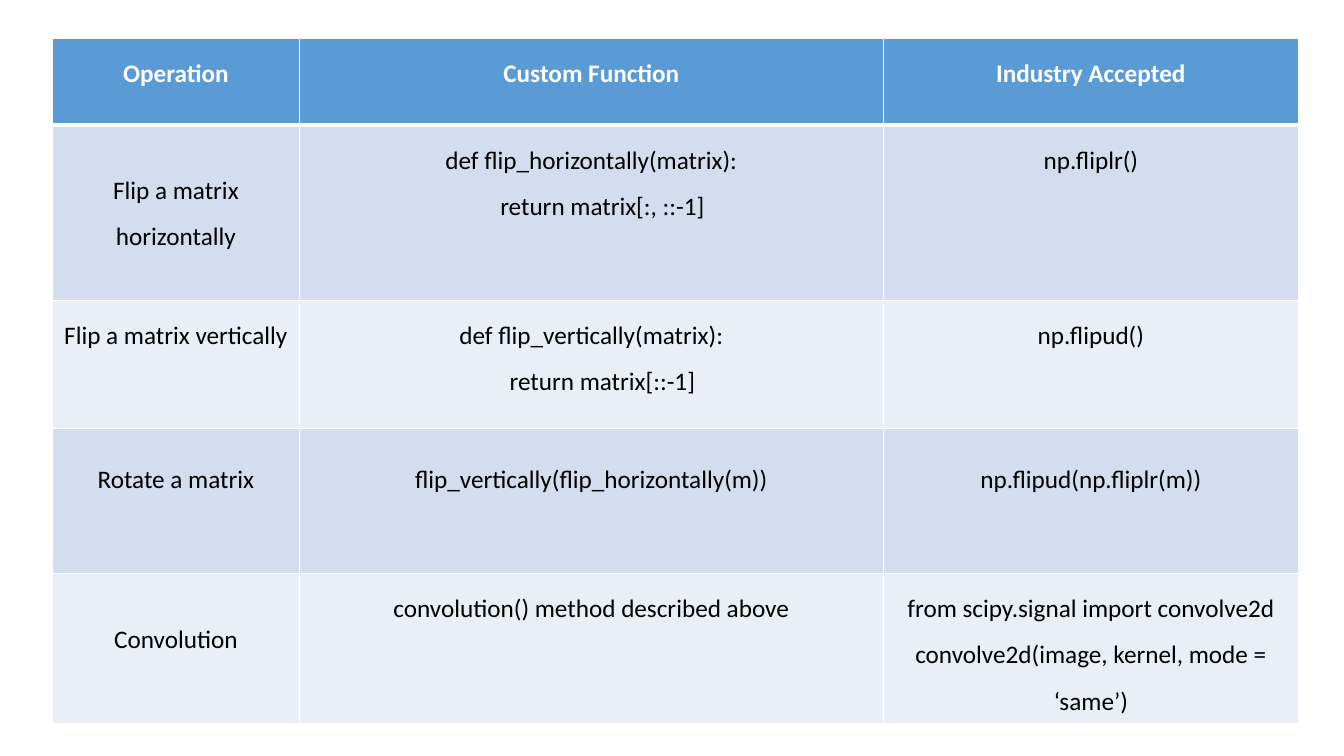
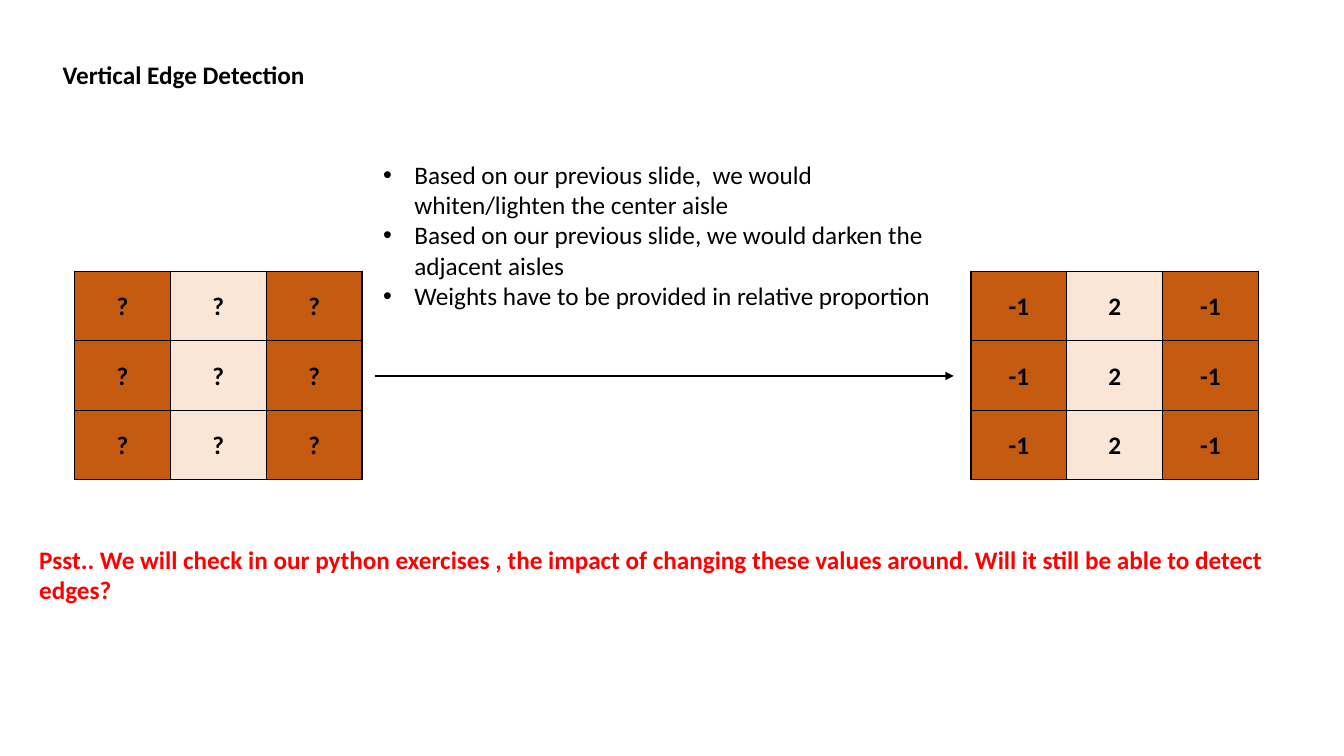
import pptx
import pptx.util
import pptx.dml.color
import pptx.enum.shapes
import pptx.enum.text
import pptx.oxml
import pptx.oxml.ns

RGB = pptx.dml.color.RGBColor
WHITE = RGB(0xFF, 0xFF, 0xFF)
BLACK = RGB(0, 0, 0)
RED = RGB(0xFF, 0, 0)
HEADER_BLUE = RGB(0x5B, 0x9B, 0xD5)
BANDS = (RGB(0xD2, 0xDE, 0xEF), RGB(0xEA, 0xEF, 0xF7))
DARK_AISLE = RGB(0xC5, 0x5A, 0x11)
LIGHT_AISLE = RGB(0xFB, 0xE5, 0xD6)

FONT = "Calibri"
TEXT_SIZE = pptx.util.Pt(18)
EMU_PER_PX = 9144  # 100 px to the inch
CODE_INDENT = 22
LOWERED_MARGIN = 35
BLANK_LAYOUT, CONTENT_LAYOUT = 6, 1

HEADINGS = ("Operation", "Custom Function", "Industry Accepted")
# Each cell is a list of lines; a leading tab marks an indented code line
OPERATIONS = (
    (["Flip a matrix horizontally"],
     ["def flip_horizontally(matrix):", "\treturn matrix[:, ::-1]"],
     ["np.fliplr()"]),
    (["Flip a matrix vertically"],
     ["def flip_vertically(matrix):", "\treturn matrix[::-1]"],
     ["np.flipud()"]),
    (["Rotate a matrix"],
     ["flip_vertically(flip_horizontally(m))"],
     ["np.flipud(np.fliplr(m))"]),
    (["Convolution"],
     ["convolution() method described above"],
     ["from scipy.signal import convolve2d",
      "convolve2d(image, kernel, mode = ‘same’)"]),
)
LOWERED_ROWS = (1, 4)
ROTATE_ROW = 3

BULLETS = (
    "Based on our previous slide,  we would whiten/lighten the center aisle",
    "Based on our previous slide, we would darken the adjacent aisles",
    "Weights have to be provided in relative proportion",
)


def px(length):
    return pptx.util.Emu(length * EMU_PER_PX)


def style_paragraph(para, color=BLACK, bold=False, align="LEFT", spacing=1.0):
    para.font.name = FONT
    para.font.size = TEXT_SIZE
    para.font.bold = bold
    para.font.color.rgb = color
    para.alignment = getattr(pptx.enum.text.PP_ALIGN, align)
    para.line_spacing = spacing
    para.space_before = pptx.util.Pt(0)


def indent(para, left, first=0):
    properties = para._p.get_or_add_pPr()
    properties.set("marL", str(px(left)))
    properties.set("indent", str(px(first)))


def write_lines(frame, lines, **style):
    for index, line in enumerate(lines):
        para = frame.add_paragraph() if index else frame.paragraphs[0]
        para.text = line.lstrip("\t")
        style_paragraph(para, **style)
        if line.startswith("\t"):
            indent(para, CODE_INDENT)


def fill_text_box(box, left, top, width, height, lines, **style):
    box.left, box.top, box.width, box.height = map(px, (left, top, width, height))
    frame = box.text_frame
    frame.word_wrap = True
    frame.auto_size = pptx.enum.text.MSO_AUTO_SIZE.NONE
    frame.vertical_anchor = pptx.enum.text.MSO_ANCHOR.TOP
    write_lines(frame, lines, **style)


def set_borders(cell, color, top=1, bottom=1):
    properties = cell._tc.get_or_add_tcPr()
    sides = (("lnL", 1), ("lnR", 1), ("lnT", top), ("lnB", bottom))
    for index, (side, points) in enumerate(sides):
        properties.insert(index, pptx.oxml.parse_xml(
            f'<a:{side} {pptx.oxml.ns.nsdecls("a")} w="{pptx.util.Pt(points)}">'
            f'<a:solidFill><a:srgbClr val="{color}"/></a:solidFill></a:{side}>'))


def add_grid(page, left, top, widths, heights):
    grid = page.shapes.add_table(
        len(heights), len(widths), px(left), px(top),
        px(sum(widths)), px(sum(heights))).table
    grid.first_row = grid.horz_banding = False
    for column, width in zip(grid.columns, widths):
        column.width = px(width)
    for row, height in zip(grid.rows, heights):
        row.height = px(height)
    return grid


def fill_cell(cell, lines, fill, border, top=1, bottom=1, **style):
    cell.fill.solid()
    cell.fill.fore_color.rgb = fill
    set_borders(cell, border, top, bottom)
    write_lines(cell.text_frame, lines, align="CENTER", **style)


def add_kernel(page, left, aisle_values):
    """A 3 by 3 grid with one value and colour for each column."""
    grid = add_grid(page, left, 269, [95] * 3, [69] * 3)
    fills = (DARK_AISLE, LIGHT_AISLE, DARK_AISLE)
    for row in grid.rows:
        for cell, value, fill in zip(row.cells, aisle_values, fills):
            fill_cell(cell, [value], fill, BLACK, bold=True, spacing=1.5)


def add_arrow(page, left, right, y):
    arrow = page.shapes.add_connector(
        pptx.enum.shapes.MSO_CONNECTOR.STRAIGHT, px(left), px(y), px(right), px(y))
    arrow.line.color.rgb = BLACK
    arrow.line.width = pptx.util.Pt(1.5)
    namespace = pptx.oxml.ns.nsdecls("a")
    arrow.line._get_or_add_ln().append(
        pptx.oxml.parse_xml(f'<a:tailEnd {namespace} type="triangle"/>'))
    arrow._element.spPr.append(pptx.oxml.parse_xml(f"<a:effectLst {namespace}/>"))


def build_operations(deck):
    page = deck.slides.add_slide(deck.slide_layouts[BLANK_LAYOUT])
    grid = add_grid(page, 52, 38, (245, 579, 412), (86, 174, 127, 144, 149))

    # Header row
    for column, heading in enumerate(HEADINGS):
        fill_cell(grid.cell(0, column), [heading], HEADER_BLUE, WHITE, bottom=3,
                  color=WHITE, bold=True, spacing=1.5)

    # Banded rows
    for row, operation in enumerate(OPERATIONS, start=1):
        for column, lines in enumerate(operation):
            fill_cell(grid.cell(row, column), lines, BANDS[(row - 1) % 2], WHITE,
                      top=3 if row == 1 else 1,
                      spacing=2.0 if row == ROTATE_ROW else 1.5)
    for row in LOWERED_ROWS:
        grid.cell(row, 0).margin_top = px(LOWERED_MARGIN)


def build_edge_detection(deck):
    page = deck.slides.add_slide(deck.slide_layouts[CONTENT_LAYOUT])
    fill_text_box(page.shapes.title, 52, 54, 1195, 71,
                  ["Vertical Edge Detection"], bold=True)

    # Reasoning between the two kernels
    body = page.placeholders[1]
    fill_text_box(body, 370, 153, 575, 162, BULLETS)
    for para in body.text_frame.paragraphs:
        indent(para, 31, -31)

    # Unknown weights lead to the chosen weights
    add_kernel(page, 74, ("?", "?", "?"))
    add_kernel(page, 963, ("-1", "2", "-1"))
    add_arrow(page, 372, 946, 373)

    # Closing hint
    hint = page.shapes.add_textbox(0, 0, 0, 0)
    fill_text_box(hint, 29, 535, 1257, 71, [
        "Psst.. We will check in our python exercises , the impact of changing "
        "these values around. Will it still be able to detect edges?"],
        color=RED, bold=True)


def main():
    deck = pptx.Presentation()
    deck.slide_width, deck.slide_height = px(1333), px(750)
    build_operations(deck)
    build_edge_detection(deck)
    deck.save("out.pptx")


if __name__ == "__main__":
    main()
